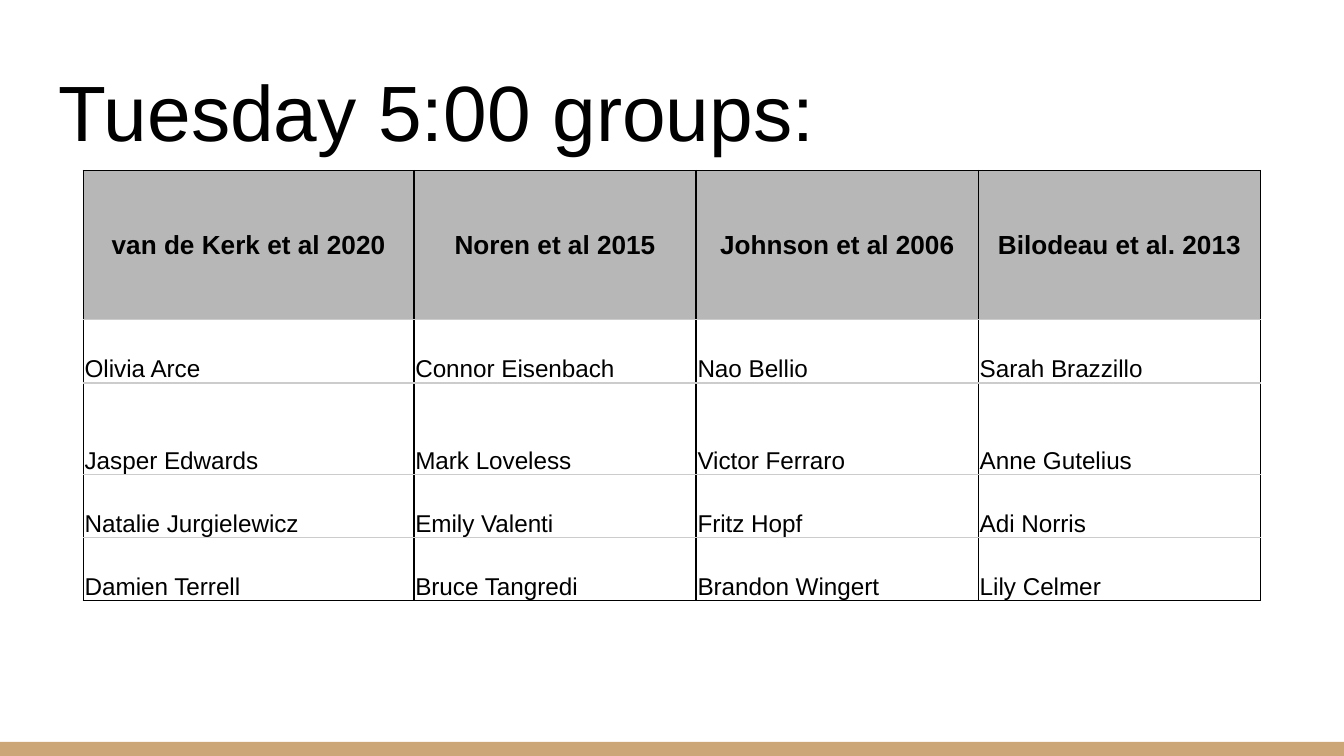
from lxml import etree
from pptx import Presentation
from pptx.dml.color import RGBColor
from pptx.enum.shapes import MSO_SHAPE
from pptx.enum.text import MSO_ANCHOR, PP_ALIGN
from pptx.oxml.ns import qn
from pptx.util import Inches, Pt

RECTANGLE = MSO_SHAPE.RECTANGLE
MIDDLE, BOTTOM = MSO_ANCHOR.MIDDLE, MSO_ANCHOR.BOTTOM
LEFT, CENTER = PP_ALIGN.LEFT, PP_ALIGN.CENTER
BLACK = RGBColor(0x00, 0x00, 0x00)
TAN = RGBColor(0xCC, 0xA6, 0x77)
HEADER_GRAY = RGBColor(0xB7, 0xB7, 0xB7)
LINE_GRAY = RGBColor(0xCC, 0xCC, 0xCC)
OUTER = (BLACK, 1)
INNER = (LINE_GRAY, 0.75)

GROUPS = [
    ["van de Kerk et al 2020", "Noren et al 2015", "Johnson et al 2006", "Bilodeau et al. 2013"],
    ["Olivia Arce", "Connor Eisenbach", "Nao Bellio", "Sarah Brazzillo"],
    ["Jasper Edwards", "Mark Loveless", "Victor Ferraro", "Anne Gutelius"],
    ["Natalie Jurgielewicz", "Emily Valenti", "Fritz Hopf", "Adi Norris"],
    ["Damien Terrell", "Bruce Tangredi", "Brandon Wingert", "Lily Celmer"],
]
COLUMN_WIDTHS = [2.46, 2.1, 2.1, 2.1]
ROW_HEIGHTS = [1.11, 0.47, 0.68, 0.47, 0.47]
HEADER = {"size": 14, "bold": True, "align": CENTER, "anchor": MIDDLE,
          "margins": (0.03, 0.02, 0.03, 0.02)}
BODY = {"size": 13, "bold": False, "align": LEFT, "anchor": BOTTOM,
        "margins": (0.01, 0.01, 0.01, 0)}
TITLE = {"size": 42, "bold": False, "align": LEFT, "anchor": BOTTOM,
         "margins": (0.1, 0.1, 0.1, 0.1)}


def write_text(holder, frame, text, style):
    """Fill a cell or text frame; holder carries the margins and anchor."""
    holder.vertical_anchor = style["anchor"]
    for side, margin in zip(("left", "top", "right", "bottom"), style["margins"]):
        setattr(holder, f"margin_{side}", Inches(margin))
    para = frame.paragraphs[0]
    para.alignment = style["align"]
    span = para.add_run()
    span.text = text
    font_values = {"name": "Arial", "size": Pt(style["size"]), "bold": style["bold"]}
    for name, value in font_values.items():
        setattr(span.font, name, value)
    span.font.color.rgb = BLACK


def add_border(cell, side, color, width):
    properties = cell._tc.get_or_add_tcPr()
    line = etree.SubElement(properties, qn(f"a:ln{side}"), w=str(Pt(width)))
    fill = etree.SubElement(line, qn("a:solidFill"))
    etree.SubElement(fill, qn("a:srgbClr"), val=str(color))


# Widescreen page, 16 to 9
deck = Presentation()
deck.slide_width = Inches(10)
deck.slide_height = Inches(10) * 9 // 16
page = deck.slides.add_slide(deck.slide_layouts[6])

# Bottom band
band = page.shapes.add_shape(RECTANGLE, Inches(0), Inches(5.52), Inches(10), Inches(0.11))
band.shadow.inherit = False
band.fill.solid()
band.fill.fore_color.rgb = TAN
band.line.fill.background()

# Title
box = page.shapes.add_textbox(Inches(0.34), Inches(0.36), Inches(9.32), Inches(0.91))
box.text_frame.word_wrap = True
write_text(box.text_frame, box.text_frame, "Tuesday 5:00 groups:", TITLE)

# Table of groups
table = page.shapes.add_table(
    len(GROUPS), len(COLUMN_WIDTHS), Inches(0.62), Inches(1.27),
    Inches(sum(COLUMN_WIDTHS)), Inches(sum(ROW_HEIGHTS))).table
table.first_row = table.horz_banding = False
for column, width in zip(table.columns, COLUMN_WIDTHS):
    column.width = Inches(width)
for row, height in zip(table.rows, ROW_HEIGHTS):
    row.height = Inches(height)

last_row = len(GROUPS) - 1
for row_index, names in enumerate(GROUPS):
    is_header = row_index == 0
    for column_index, name in enumerate(names):
        cell = table.cell(row_index, column_index)
        write_text(cell, cell.text_frame, name, HEADER if is_header else BODY)
        # Borders go before the fill in the cell properties
        borders = {"L": OUTER, "R": OUTER,
                   "T": OUTER if is_header else INNER,
                   "B": OUTER if row_index == last_row else INNER}
        for side, (color, width) in borders.items():
            add_border(cell, side, color, width)
        if is_header:
            cell.fill.solid()
            cell.fill.fore_color.rgb = HEADER_GRAY
        else:
            cell.fill.background()

deck.save("out.pptx")
